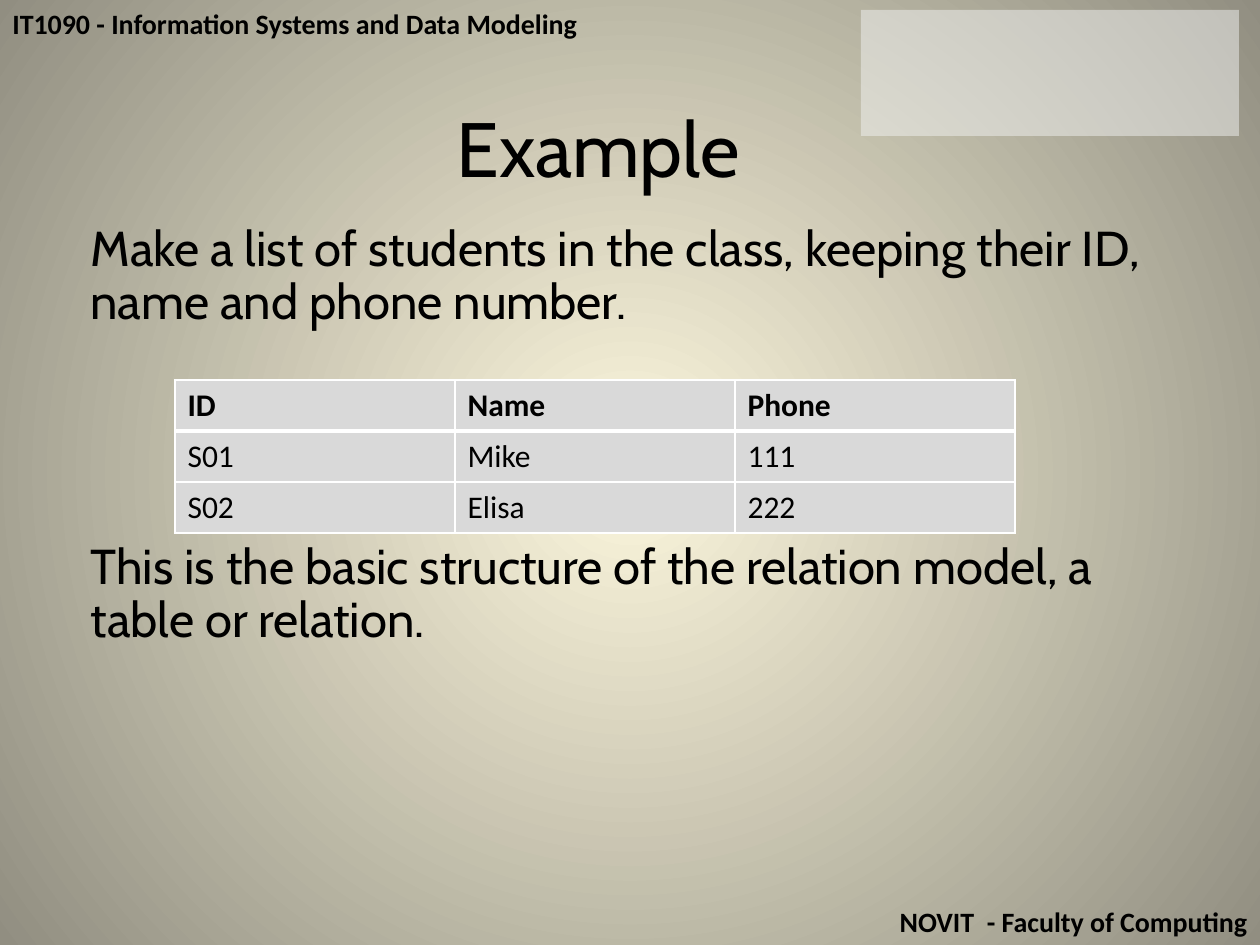
from dataclasses import dataclass
from typing import Any, NamedTuple

from lxml.etree import SubElement
from pptx import Presentation
from pptx.dml.color import RGBColor
from pptx.enum.shapes import MSO_SHAPE
from pptx.enum.text import MSO_ANCHOR, MSO_AUTO_SIZE, PP_ALIGN
from pptx.oxml import parse_xml
from pptx.oxml.ns import nsdecls, qn
from pptx.util import Emu, Pt

EMU_PER_PX = 914400 / 126


@dataclass(frozen=True)
class Theme:
    glow: str = "FCF7DD"
    edge: str = "918E81"
    ink: str = "000000"
    panel: str = "F2F2F2"
    cell: str = "D9D9D9"
    border: str = "FFFFFF"
    heading_font: str = "Cabin"
    plain_font: str = "Calibri"
    title_size: int = 44
    body_size: int = 28
    table_size: int = 18
    banner_size: int = 16


THEME = Theme()


class Box(NamedTuple):
    left: int
    top: int
    width: int
    height: int


class Banner(NamedTuple):
    text: str
    box: Box
    align: PP_ALIGN


BANNERS = [
    Banner("IT1090 - Information Systems and Data Modeling", Box(0, 0, 1260, 47), PP_ALIGN.LEFT),
    Banner("NOVIT  - Faculty of Computing", Box(0, 898, 1260, 47), PP_ALIGN.RIGHT),
]
PANEL_BOX = Box(861, 10, 378, 126)
TITLE_BOX = Box(168, 94, 878, 178)
BODY_BOX = Box(78, 218, 1096, 561)
TABLE_BOX = Box(175, 380, 840, 153)
TABLE_GAP = 121  # points left between the two body paragraphs
STUDENTS = [("ID", "Name", "Phone"), ("S01", "Mike", "111"), ("S02", "Elisa", "222")]


def px(length: int) -> Emu:
    return Emu(round(length * EMU_PER_PX))


def scaled(box: Box) -> list[Emu]:
    return [px(length) for length in box]


def apply(target: Any, values: dict[str, Any]) -> None:
    for name, value in values.items():
        setattr(target, name, value)


def style_font(font: Any, family: str, size: int, bold: bool = False) -> None:
    apply(font, {"name": family, "size": Pt(size), "bold": bold})
    font.color.rgb = RGBColor.from_string(THEME.ink)


def place(placeholder: Any, box: Box) -> Any:
    apply(placeholder, dict(zip(Box._fields, scaled(box))))
    frame = placeholder.text_frame
    apply(frame, {"auto_size": MSO_AUTO_SIZE.NONE, "vertical_anchor": MSO_ANCHOR.TOP})
    return frame


def paint_background(slide: Any) -> None:
    slide.background.fill.solid()
    properties = slide.element.find(".//" + qn("p:bgPr"))
    gradient = parse_xml(
        f'<a:gradFill {nsdecls("a")} rotWithShape="1"><a:gsLst>'
        f'<a:gs pos="0"><a:srgbClr val="{THEME.glow}"/></a:gs>'
        f'<a:gs pos="100000"><a:srgbClr val="{THEME.edge}"/></a:gs></a:gsLst>'
        '<a:path path="circle"><a:fillToRect l="50000" t="50000" r="50000" b="50000"/></a:path>'
        "</a:gradFill>"
    )
    properties.replace(properties.find(qn("a:solidFill")), gradient)


def draw_banner(slide: Any, banner: Banner) -> None:
    frame = slide.shapes.add_textbox(*scaled(banner.box)).text_frame
    frame.word_wrap = True
    paragraph = frame.paragraphs[0]
    apply(paragraph, {"text": banner.text, "alignment": banner.align})
    style_font(paragraph.runs[0].font, THEME.plain_font, THEME.banner_size, True)


def draw_panel(slide: Any) -> None:
    panel = slide.shapes.add_shape(MSO_SHAPE.RECTANGLE, *scaled(PANEL_BOX))
    panel.shadow.inherit = False
    panel.line.fill.background()
    panel.fill.solid()
    panel.fill.fore_color.rgb = RGBColor.from_string(THEME.panel)
    color = panel.fill._xPr.find(".//" + qn("a:srgbClr"))
    SubElement(color, qn("a:alpha"), val="50000")


def write_title(slide: Any) -> None:
    paragraph = place(slide.shapes.title, TITLE_BOX).paragraphs[0]
    apply(paragraph, {"text": "Example ", "alignment": PP_ALIGN.CENTER})
    style_font(paragraph.runs[0].font, THEME.heading_font, THEME.title_size)


def write_body(slide: Any) -> None:
    frame = place(slide.placeholders[1], BODY_BOX)
    frame.text = (
        "Make a list of students in the class, keeping their ID, name and phone number.\n"
        "This is the basic structure of the relation model, a table or relation."
    )
    for paragraph, gap in zip(frame.paragraphs, (0, TABLE_GAP)):
        apply(paragraph, {"line_spacing": 0.9, "space_before": Pt(gap)})
        style_font(paragraph.runs[0].font, THEME.heading_font, THEME.body_size)
        # Flush left, without a bullet
        properties = paragraph._p.get_or_add_pPr()
        properties.set("marL", "0")
        properties.set("indent", "0")
        SubElement(properties, qn("a:buNone"))


def draw_borders(cell: Any, widths: dict[str, int]) -> None:
    properties = cell._tc.get_or_add_tcPr()
    for position, (side, width) in enumerate(widths.items()):
        line = parse_xml(
            f'<a:ln{side} {nsdecls("a")} w="{Pt(width)}"><a:solidFill>'
            f'<a:srgbClr val="{THEME.border}"/></a:solidFill></a:ln{side}>'
        )
        properties.insert(position, line)


def draw_students(slide: Any) -> None:
    rows, columns = len(STUDENTS), len(STUDENTS[0])
    table = slide.shapes.add_table(rows, columns, *scaled(TABLE_BOX)).table
    table.horz_banding = False
    for row, record in enumerate(STUDENTS):
        for column, value in enumerate(record):
            cell = table.cell(row, column)
            cell.text = value
            cell.fill.solid()
            cell.fill.fore_color.rgb = RGBColor.from_string(THEME.cell)
            font = cell.text_frame.paragraphs[0].runs[0].font
            style_font(font, THEME.plain_font, THEME.table_size, row == 0)
            # Thick rule between the header and the records
            top, bottom = (3 if row == 1 else 1), (3 if row == 0 else 1)
            draw_borders(cell, {"L": 1, "R": 1, "T": top, "B": bottom})


def main() -> None:
    deck = Presentation()
    apply(deck, {"slide_width": px(1260), "slide_height": px(945)})
    slide = deck.slides.add_slide(deck.slide_layouts[1])

    # Backdrop and banners
    paint_background(slide)
    for banner in BANNERS:
        draw_banner(slide, banner)
    draw_panel(slide)

    # Content
    write_title(slide)
    write_body(slide)
    draw_students(slide)
    deck.save("out.pptx")


if __name__ == "__main__":
    main()
